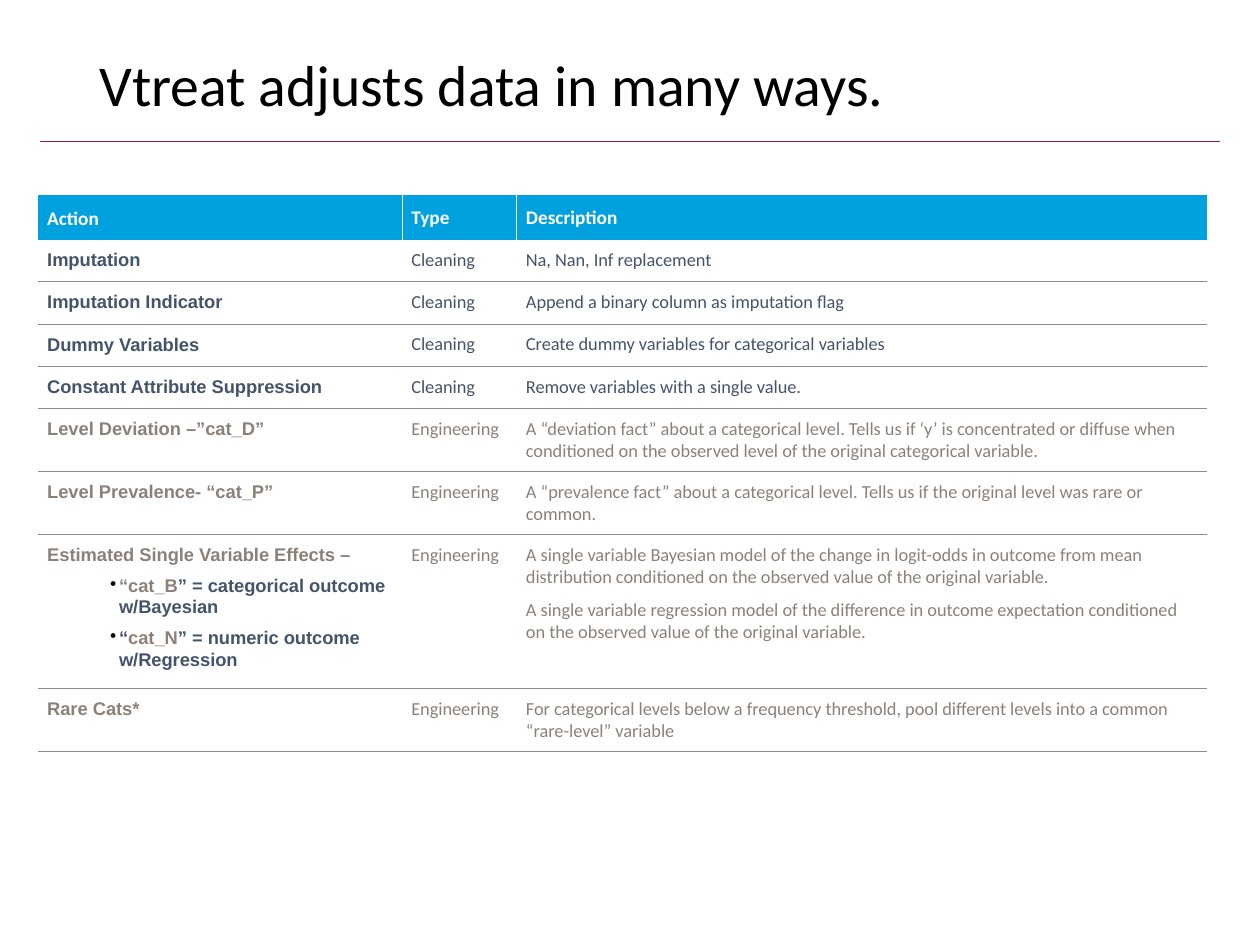
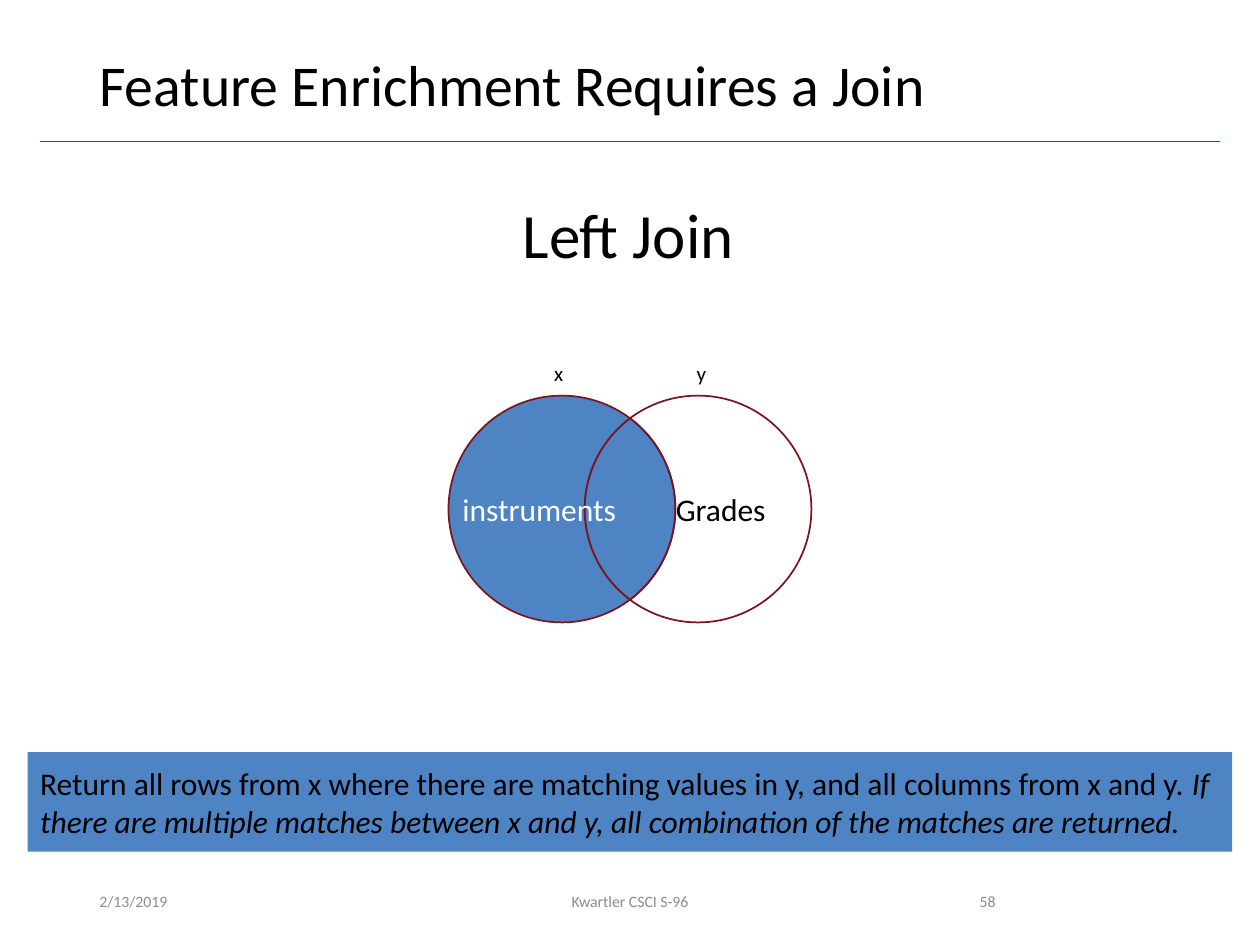
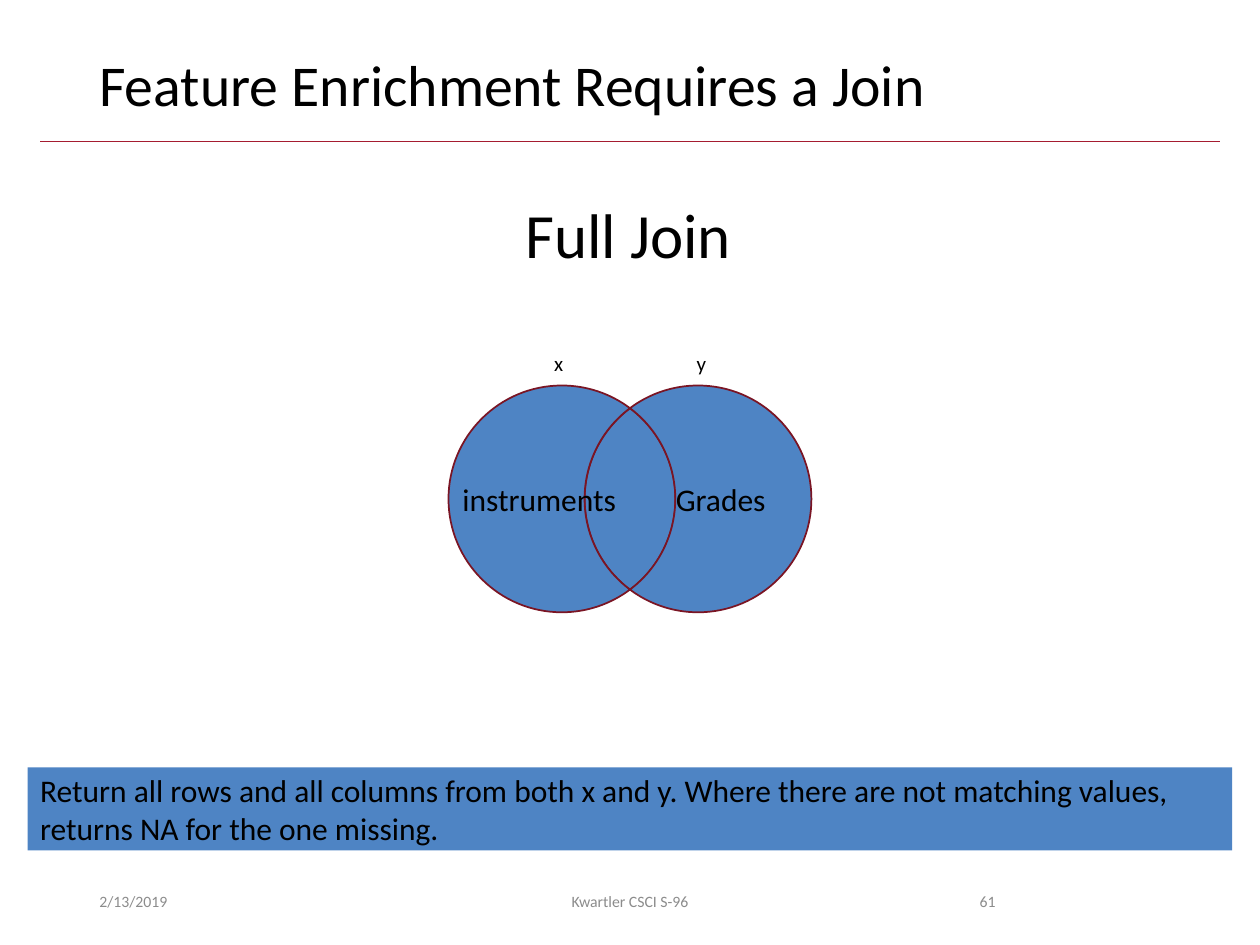
from math import acos, cos, degrees, radians, sin, tan

from lxml.etree import SubElement
from pptx import Presentation
from pptx.dml.color import RGBColor
from pptx.enum.shapes import MSO_CONNECTOR, MSO_SHAPE
from pptx.enum.text import MSO_ANCHOR, PP_ALIGN
from pptx.oxml import parse_xml
from pptx.oxml.ns import nsdecls, qn
from pptx.util import Inches, Pt

BLACK = RGBColor(0x00, 0x00, 0x00)
WHITE = RGBColor(0xFF, 0xFF, 0xFF)
CRIMSON = RGBColor(0xA5, 0x1C, 0x30)
DARK_RED = RGBColor(0x7A, 0x15, 0x24)
BLUE = RGBColor(0x4E, 0x84, 0xC4)
HEADER_BLUE = RGBColor(0x00, 0xA1, 0xDE)
SLATE = RGBColor(0x44, 0x54, 0x6A)
TAUPE = RGBColor(0x8C, 0x81, 0x79)
GRAY = RGBColor(0x8C, 0x8C, 0x8C)

# Content: each action is a list of paragraphs, each paragraph a list of (text, colour) runs
TABLE_TITLE = "Vtreat adjusts data in many ways."
TABLE_HEADER = ["Action", "Type", "Description"]
CLEANING = [
    ("Imputation", "Na, Nan, Inf replacement"),
    ("Imputation Indicator", "Append a binary column as imputation flag"),
    ("Dummy Variables", "Create dummy variables for categorical variables"),
    ("Constant Attribute Suppression", "Remove variables with a single value."),
]
ENGINEERING = [
    ([[("Level Deviation –”cat_D”", TAUPE)]],
     ["A “deviation fact” about a categorical level. Tells us if ‘y’ is concentrated or diffuse "
      "when conditioned on the observed level of the original categorical variable."]),
    ([[("Level Prevalence- “cat_P”", TAUPE)]],
     ["A “prevalence fact” about a categorical level. Tells us if the original level was rare or "
      "common."]),
    ([[("Estimated Single Variable Effects –", TAUPE)],
      [("“cat_B", TAUPE), ("” = categorical outcome w/Bayesian", SLATE)],
      [("“", SLATE), ("cat_N", TAUPE), ("” = numeric outcome w/Regression", SLATE)]],
     ["A single variable Bayesian model of the change in logit-odds in outcome from mean "
      "distribution conditioned on the observed value of the original variable.",
      "A single variable regression model of the difference in outcome expectation conditioned "
      "on the observed value of the original variable."]),
    ([[("Rare Cats*", TAUPE)]],
     ["For categorical levels below a frequency threshold, pool different levels into a common "
      "“rare-level” variable"]),
]
COLUMN_WIDTHS = [2.89, 0.91, 5.48]
ROW_HEIGHTS = [0.32] + [0.3] * 4 + [0.42, 0.42, 0.95, 0.4]
CELL_MARGIN = Pt(5.4)

JOIN_TITLE = "Feature Enrichment Requires a Join"
JOINS = [
    {"name": "Left Join", "name_box": (4.05, 1.91), "number": "58", "venn_middle": 4.04,
     "left_text": WHITE, "right_fill": None, "band": (5.97, 0.79),
     "text": "Return all rows from x where there are matching values in y, and all columns from "
             "x and y. ",
     "italic": "If there are multiple matches between x and y, all combination of the matches "
               "are returned."},
    {"name": "Full Join", "name_box": (4.07, 1.85), "number": "61", "venn_middle": 3.96,
     "left_text": BLACK, "right_fill": BLUE, "band": (6.09, 0.66),
     "text": "Return all rows and all columns from both x and y. Where there are not matching "
             "values, returns NA for the one missing.",
     "italic": ""},
]
DATE = "2/13/2019"
COURSE = "Kwartler CSCI S-96"

# Venn geometry
RADIUS = 0.9
CENTER_X = 5
OFFSET = 0.54
HALF_ANGLE = degrees(acos(OFFSET / RADIUS))


def add_runs(paragraph, runs, size, font="Calibri", bold=False):
    for text, color in runs:
        run = paragraph.add_run()
        run.text = text
        run.font.name = font
        run.font.size = Pt(size)
        run.font.bold = bold
        run.font.color.rgb = color


def add_text(shapes, text, box, size, color=BLACK, align=PP_ALIGN.LEFT,
             anchor=MSO_ANCHOR.TOP, wrap=True):
    frame = shapes.add_textbox(*map(Inches, box)).text_frame
    frame.word_wrap = wrap
    frame.vertical_anchor = anchor
    paragraph = frame.paragraphs[0]
    paragraph.alignment = align
    add_runs(paragraph, [(text, color)], size)
    return paragraph


def add_titled_slide(presentation, title):
    slide = presentation.slides.add_slide(presentation.slide_layouts[6])
    rule = slide.shapes.add_connector(
        MSO_CONNECTOR.STRAIGHT, Inches(0.32), Inches(1.12), Inches(9.68), Inches(1.12))
    rule.line.color.rgb = CRIMSON
    rule.line.width = Pt(0.5)
    SubElement(rule._element.spPr, qn("a:effectLst"))
    add_text(slide.shapes, title, (0.69, 0.4, 8.62, 0.65), 33).line_spacing = 0.9
    return slide


def add_footer(slide, number):
    for text, left, width, align in [(DATE, 0.69, 2.25, PP_ALIGN.LEFT),
                                     (COURSE, 3.31, 3.38, PP_ALIGN.CENTER),
                                     (number, 7.06, 0.94, PP_ALIGN.RIGHT)]:
        add_text(slide.shapes, text, (left, 6.95, width, 0.4), 9, GRAY, align, MSO_ANCHOR.MIDDLE)


# Table
def style_cell(cell, fill, borders):
    cell.fill.solid()
    cell.fill.fore_color.rgb = fill
    cell.margin_left = cell.margin_right = CELL_MARGIN
    cell.margin_top = cell.margin_bottom = CELL_MARGIN
    properties = cell._tc.get_or_add_tcPr()
    for position, side in enumerate("LRTB"):
        color = borders.get(side)
        paint = (f'<a:solidFill><a:srgbClr val="{color}"/></a:solidFill>' if color
                 else "<a:noFill/>")
        properties.insert(position, parse_xml(
            f'<a:ln{side} {nsdecls("a")} w="6350">{paint}</a:ln{side}>'))


def add_bullet(paragraph):
    properties = paragraph._p.get_or_add_pPr()
    properties.set("marL", str(Inches(0.57)))
    properties.set("indent", str(Inches(-0.07)))
    space_before = SubElement(properties, qn("a:spcBef"))
    SubElement(space_before, qn("a:spcPct"), val="50000")
    bullet_color = SubElement(properties, qn("a:buClr"))
    SubElement(bullet_color, qn("a:srgbClr"), val=str(BLACK))
    SubElement(properties, qn("a:buChar"), char="•")


def fill_cell(cell, paragraphs, size, font="Calibri", bold=False, spacing=1.0, bullets=False):
    frame = cell.text_frame
    for index, runs in enumerate(paragraphs):
        paragraph = frame.add_paragraph() if index else frame.paragraphs[0]
        paragraph.line_spacing = spacing
        if index and bullets:
            add_bullet(paragraph)
        elif index:
            paragraph.space_before = Pt(6)
        add_runs(paragraph, runs, size, font, bold)
        SubElement(paragraph._p, qn("a:endParaRPr"), sz=str(int(size * 100)))


def add_action_table(slide):
    rows = [([[(action, SLATE)]], "Cleaning", [description], SLATE)
            for action, description in CLEANING]
    rows += [(action, "Engineering", descriptions, TAUPE)
             for action, descriptions in ENGINEERING]
    table = slide.shapes.add_table(
        len(ROW_HEIGHTS), len(COLUMN_WIDTHS), Inches(0.3), Inches(1.55),
        Inches(sum(COLUMN_WIDTHS)), Inches(sum(ROW_HEIGHTS))).table
    table.horz_banding = False
    for column, width in zip(table.columns, COLUMN_WIDTHS):
        column.width = Inches(width)
    for row, height in zip(table.rows, ROW_HEIGHTS):
        row.height = Inches(height)

    for index, heading in enumerate(TABLE_HEADER):
        cell = table.cell(0, index)
        style_cell(cell, HEADER_BLUE, {"L": WHITE if index else None, "R": WHITE})
        cell.vertical_anchor = MSO_ANCHOR.MIDDLE
        fill_cell(cell, [[(heading, WHITE)]], 11, bold=True, spacing=1.0 if index else 1.1)

    for number, (action, kind, descriptions, color) in enumerate(rows, start=1):
        cells = table.rows[number].cells
        for cell in cells:
            style_cell(cell, WHITE, {"T": GRAY if number > 1 else None, "B": GRAY})
        fill_cell(cells[0], action, 10.5, "Arial", True, 1.06, bullets=True)
        fill_cell(cells[1], [[(kind, color)]], 10.5)
        fill_cell(cells[2], [[(text, color)] for text in descriptions], 10.5)


# Venn diagram: an arc is a list of Bezier points, three for each curve after the start
def arc(center_x, center_y, *stops):
    def place(angle, along=0.0):
        x = center_x + RADIUS * (cos(angle) - along * sin(angle))
        y = center_y + RADIUS * (sin(angle) + along * cos(angle))
        return Inches(x), Inches(y)

    angles = [radians(stop) for stop in stops]
    points = [place(angles[0])]
    for start, end in zip(angles, angles[1:]):
        reach = 4 / 3 * tan((end - start) / 4)
        points += [place(start, reach), place(end, -reach), place(end)]
    return points


def curve_outline(region):
    segments = list(region._element.iter(qn("a:lnTo")))
    for first, second, third in zip(segments[::3], segments[1::3], segments[2::3]):
        first.tag = qn("a:cubicBezTo")
        for segment in (second, third):
            first.append(segment[0])
            segment.getparent().remove(segment)


def add_region(shapes, points, fill, label="", color=BLACK):
    builder = shapes.build_freeform(*points[0], scale=1.0)
    builder.add_line_segments(points[1:], close=True)
    region = builder.convert_to_shape()
    curve_outline(region)
    region.shadow.inherit = False
    if fill is None:
        region.fill.background()
    else:
        region.fill.solid()
        region.fill.fore_color.rgb = fill
    region.line.color.rgb = DARK_RED
    region.line.width = Pt(1)
    if label:
        frame = region.text_frame
        frame.word_wrap = True
        frame.margin_left = frame.margin_right = Inches(0.05)
        frame.vertical_anchor = MSO_ANCHOR.MIDDLE
        frame.paragraphs[0].alignment = PP_ALIGN.CENTER
        add_runs(frame.paragraphs[0], [(label, color)], 18)


def add_venn(slide, join):
    middle = join["venn_middle"]
    left, right = CENTER_X - OFFSET, CENTER_X + OFFSET
    left_inner = arc(left, middle, -HALF_ANGLE, 0, HALF_ANGLE)
    right_inner = arc(right, middle, 180 - HALF_ANGLE, 180, 180 + HALF_ANGLE)
    left_outer = arc(left, middle, HALF_ANGLE, 90, 180, 270, 360 - HALF_ANGLE)
    right_outer = arc(right, middle, HALF_ANGLE - 180, -90, 0, 90, 180 - HALF_ANGLE)
    shapes = slide.shapes.add_group_shape().shapes
    add_region(shapes, left_inner + right_inner[1:], BLUE)
    add_region(shapes, left_outer + right_inner[-2::-1], BLUE, "instruments", join["left_text"])
    add_region(shapes, right_outer + left_inner[-2::-1], join["right_fill"], "Grades")
    for label, label_left in (("y", 5.43), ("x", 4.3)):
        add_text(shapes, label, (label_left, middle - 1.23, 0.28, 0.3), 12, wrap=False)


def add_band(slide, join):
    top, height = join["band"]
    band = slide.shapes.add_shape(
        MSO_SHAPE.RECTANGLE, Inches(0.22), Inches(top), Inches(9.56), Inches(height))
    band.shadow.inherit = False
    band.fill.solid()
    band.fill.fore_color.rgb = BLUE
    band.line.fill.background()
    band.text_frame.word_wrap = True
    band.text_frame.vertical_anchor = MSO_ANCHOR.MIDDLE
    paragraph = band.text_frame.paragraphs[0]
    paragraph.alignment = PP_ALIGN.LEFT
    add_runs(paragraph, [(join["text"], BLACK)], 18)
    if join["italic"]:
        add_runs(paragraph, [(join["italic"], BLACK)], 18)
        paragraph.runs[-1].font.italic = True


def main():
    presentation = Presentation()
    presentation.slide_width = Inches(10)
    presentation.slide_height = Inches(7.5)
    add_action_table(add_titled_slide(presentation, TABLE_TITLE))
    for join in JOINS:
        slide = add_titled_slide(presentation, JOIN_TITLE)
        add_footer(slide, join["number"])
        add_band(slide, join)
        add_venn(slide, join)
        name_left, name_width = join["name_box"]
        add_text(slide.shapes, join["name"], (name_left, 1.5, name_width, 0.71), 36, wrap=False)
    presentation.save("out.pptx")


if __name__ == "__main__":
    main()
